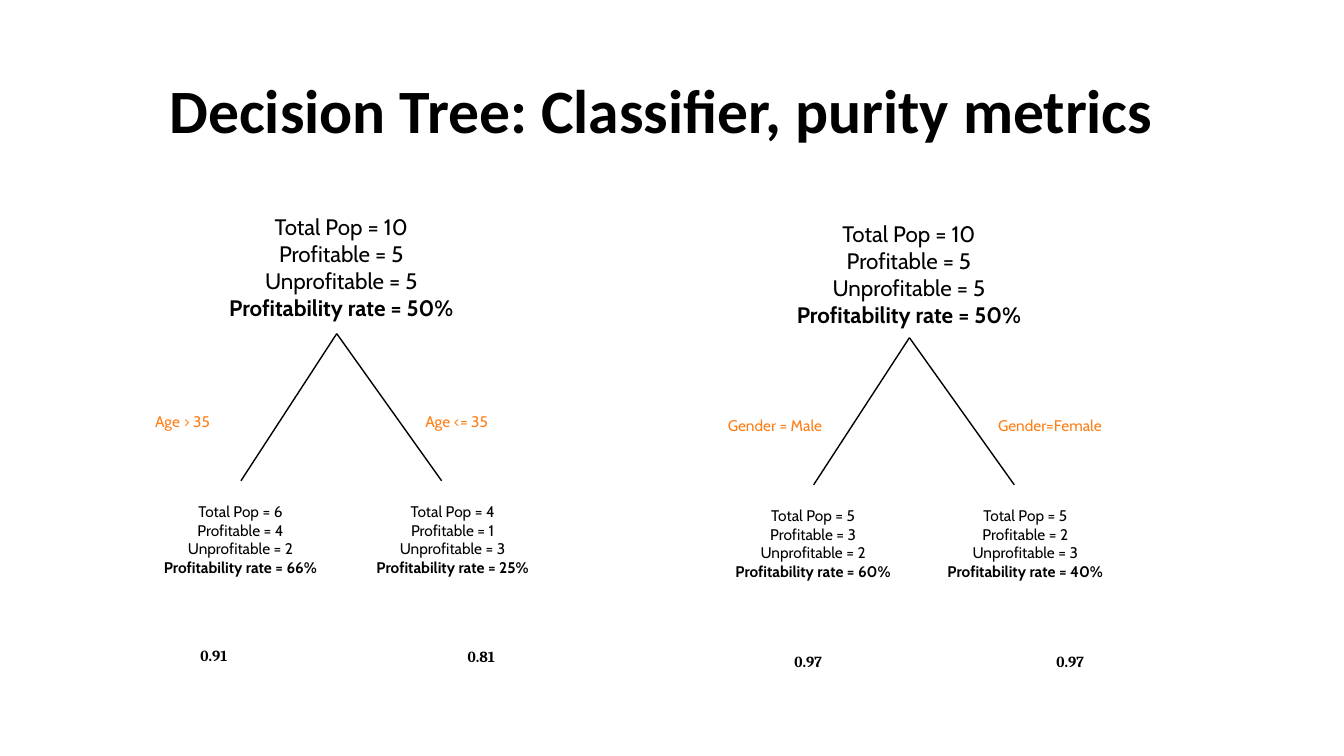
from dataclasses import dataclass

from lxml import etree
from pptx import Presentation
from pptx.dml.color import RGBColor
from pptx.enum.shapes import MSO_CONNECTOR, MSO_SHAPE
from pptx.enum.text import MSO_ANCHOR, MSO_AUTO_SIZE, PP_ALIGN
from pptx.oxml.ns import qn
from pptx.util import Inches, Pt

TITLE = "Decision Tree: Classifier, purity metrics"

# Branches: split, profitable, unprofitable, rate, entropy, entropy position
TREES = [
    {
        "apex": (3.34, 3.31),
        "root": (5, 5, "50%"),
        "root_at": (1.81, 2.02),
        "branches": [
            ("Age > 35", (4, 2, "66%"), "0.91", (1.89, 6.36)),
            ("Age <= 35", (1, 3, "25%"), "0.81", (4.54, 6.37)),
        ],
    },
    {
        "apex": (9.02, 3.35),
        "root": (5, 5, "50%"),
        "root_at": (7.44, 2.09),
        "branches": [
            ("Gender = Male", (3, 2, "60%"), "0.97", (7.78, 6.42)),
            ("Gender=Female", (2, 3, "40%"), "0.97", (10.38, 6.42)),
        ],
    },
]

# Horizontal offsets from the apex, left branch then right branch
SIDES = [
    {"tip": -0.95, "split": -1.9, "split_width": 1.22, "leaf": -1.9, "leaf_width": 1.89},
    {"tip": 1.04, "split": 0.78, "split_width": 1.38, "leaf": 0.22, "leaf_width": 1.86},
]
BRANCH_DROP, SPLIT_DROP = 1.46, 0.73
ROOT_SIZE, LEAF_HEIGHT = (3.15, 1.26), 1.16
ENTROPY_WIDTH, LABEL_HEIGHT = 0.64, 0.29


@dataclass(frozen=True)
class Theme:
    ink: RGBColor = RGBColor(0x00, 0x00, 0x00)
    paper: RGBColor = RGBColor(0xFF, 0xFF, 0xFF)
    accent: RGBColor = RGBColor(0xFE, 0x7F, 0x18)
    title_font: str = "Calibri"
    node_font: str = "Cabin"
    entropy_font: str = "Cambria"
    title_size: int = 44
    root_size: int = 16
    small_size: int = 11
    line_width: int = 1


THEME = Theme()


def style(paragraph, font_name, size, color, bold=False):
    for run in paragraph.runs:
        run.font.name = font_name
        run.font.size = Pt(size)
        run.font.color.rgb = color
        run.font.bold = bold


def add_title(slide):
    title = slide.shapes.title
    title.left, title.top = Inches(1.58), Inches(0.4)
    title.width, title.height = Inches(11.5), Inches(1.45)
    title.text_frame.text = TITLE
    title.text_frame.vertical_anchor = MSO_ANCHOR.MIDDLE
    heading = title.text_frame.paragraphs[0]
    heading.alignment = PP_ALIGN.LEFT
    heading.line_spacing = 0.9
    style(heading, THEME.title_font, THEME.title_size, THEME.ink, True)


def add_node(slide, left, top, width, height, counts, size):
    """Add a population box whose last line, the rate, is bold."""
    profitable, unprofitable, rate = counts
    lines = [
        f"Total Pop = {profitable + unprofitable}",
        f"Profitable = {profitable}",
        f"Unprofitable = {unprofitable}",
        f"Profitability rate = {rate}",
    ]
    node = slide.shapes.add_shape(
        MSO_SHAPE.RECTANGLE, Inches(left), Inches(top), Inches(width), Inches(height))
    node.shadow.inherit = False
    node.fill.solid()
    node.fill.fore_color.rgb = THEME.paper
    node.line.fill.background()
    frame = node.text_frame
    frame.word_wrap = True
    frame.vertical_anchor = MSO_ANCHOR.MIDDLE
    frame.text = "\n".join(lines)
    for paragraph in frame.paragraphs:
        paragraph.alignment = PP_ALIGN.CENTER
        style(paragraph, THEME.node_font, size, THEME.ink, paragraph.text == lines[-1])


def add_label(slide, left, top, width, text, font_name, color, bold=False):
    label = slide.shapes.add_textbox(
        Inches(left), Inches(top), Inches(width), Inches(LABEL_HEIGHT))
    frame = label.text_frame
    frame.word_wrap = True
    frame.auto_size = MSO_AUTO_SIZE.SHAPE_TO_FIT_TEXT
    frame.text = text
    style(frame.paragraphs[0], font_name, THEME.small_size, color, bold)


def add_branch_line(slide, start, end):
    branch = slide.shapes.add_connector(
        MSO_CONNECTOR.STRAIGHT, *(Inches(value) for value in (*start, *end)))
    branch.line.color.rgb = THEME.ink
    branch.line.width = Pt(THEME.line_width)
    etree.SubElement(branch._element.spPr, qn("a:effectLst"))


def add_tree(slide, tree):
    x, y = tree["apex"]
    leaf_top = y + BRANCH_DROP
    add_node(slide, *tree["root_at"], *ROOT_SIZE, tree["root"], THEME.root_size)
    for side, (split, counts, entropy, entropy_at) in zip(SIDES, tree["branches"]):
        add_node(slide, x + side["leaf"], leaf_top, side["leaf_width"], LEAF_HEIGHT,
                 counts, THEME.small_size)
        add_branch_line(slide, (x, y), (x + side["tip"], leaf_top))
        add_label(slide, x + side["split"], y + SPLIT_DROP, side["split_width"],
                  split, THEME.node_font, THEME.accent)
        add_label(slide, *entropy_at, ENTROPY_WIDTH, entropy,
                  THEME.entropy_font, THEME.ink, True)


def main():
    deck = Presentation()
    deck.slide_width, deck.slide_height = Inches(13.33), Inches(7.5)
    title_only = deck.slide_layouts[5]
    slide = deck.slides.add_slide(title_only)
    add_title(slide)
    for tree in TREES:
        add_tree(slide, tree)
    deck.save("out.pptx")


if __name__ == "__main__":
    main()
